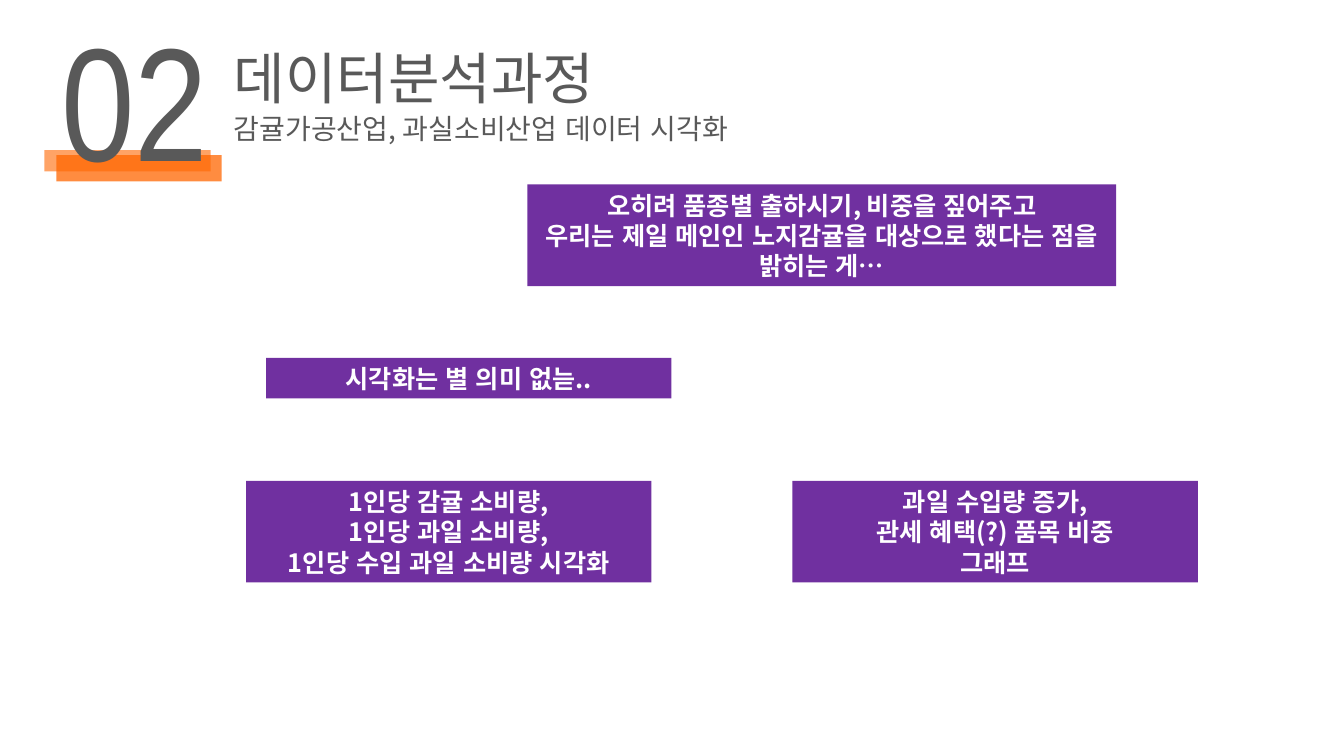
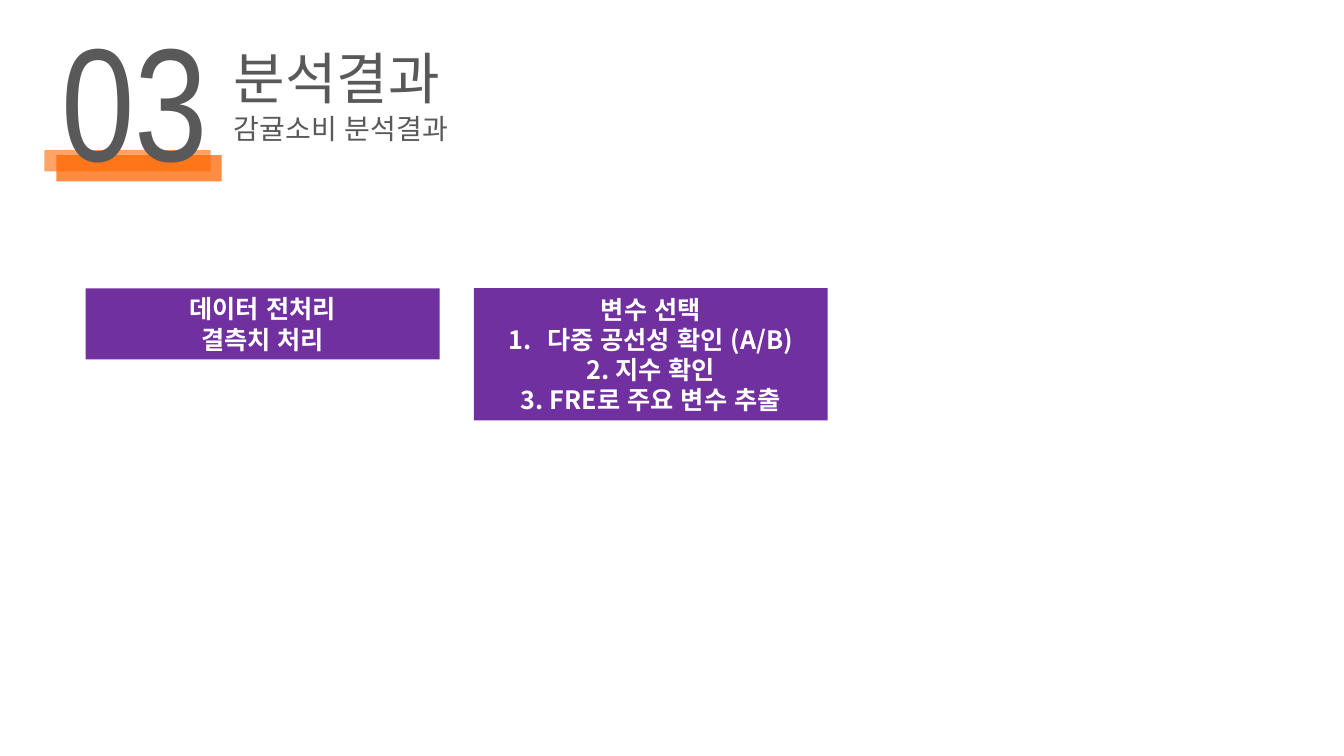
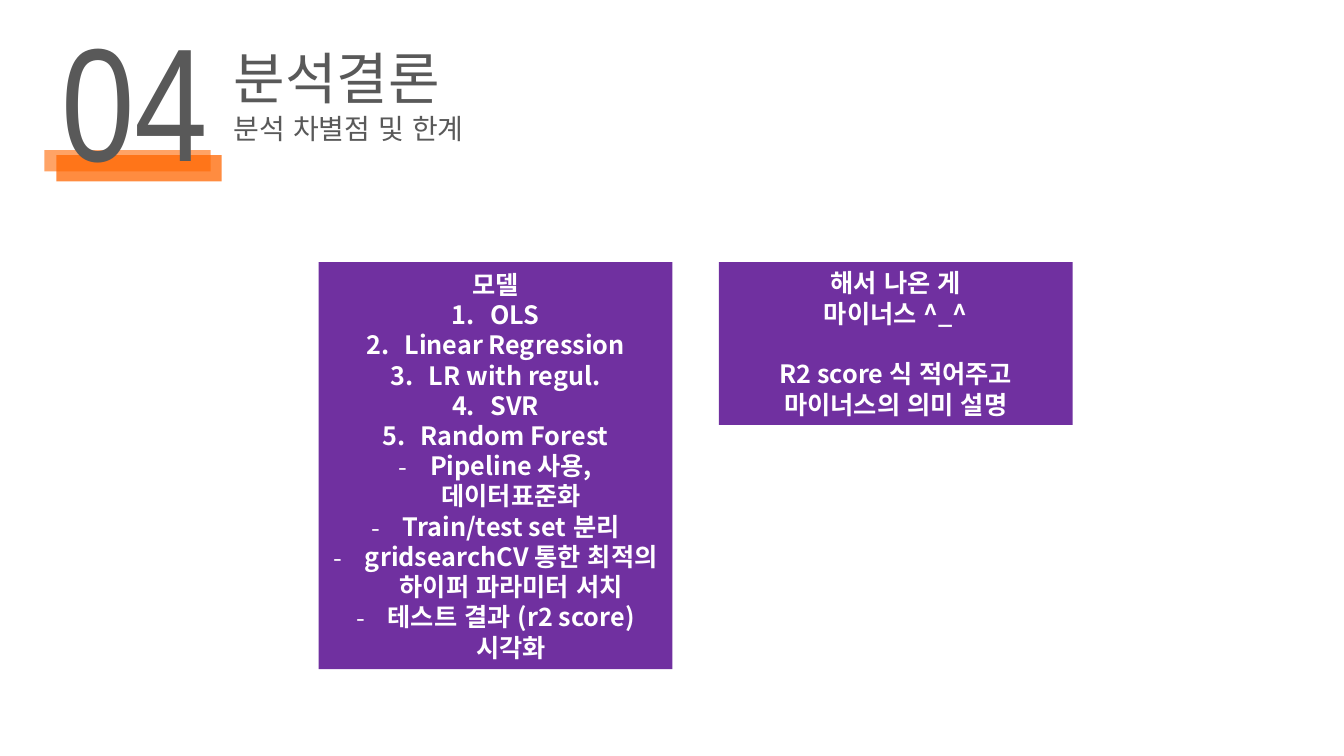
"""Build three numbered section slides with purple note boxes."""
from lxml.etree import SubElement
from pptx import Presentation
from pptx.dml.color import RGBColor
from pptx.enum.lang import MSO_LANGUAGE_ID as Language
from pptx.enum.shapes import MSO_SHAPE as Shape
from pptx.enum.text import MSO_ANCHOR as Anchor, MSO_AUTO_SIZE as AutoSize, PP_ALIGN as Align
from pptx.oxml import parse_xml
from pptx.oxml.ns import nsdecls, qn
from pptx.util import Inches, Pt

COLORS = {"accent": "FF6600", "heading": "595959", "outline": "404040",
          "note": "7030A0", "note_text": "FFFFFF"}
HEADING_FONT, BODY_FONT = "Arial Narrow", "Noto Sans CJK KR"
BANDS = [((0.56, 1.54, 1.64, 0.26), 75), ((0.44, 1.49, 1.65, 0.21), 60)]
NUMBER_BOX = (0.51, -0.04, 2.4, 2.04)
HEADING_LEFT = 2.22
WIDE, NARROW = 4.02, 3.51
LINE_PITCH, NOTE_PADDING = 0.303, 0.1
INDENTS = {"number": 0.38, "dash": 0.31}

SLIDES = [
    {"number": "02", "title": "데이터분석과정", "title_width": 4.79,
     "subtitle": "감귤가공산업, 과실소비산업 데이터 시각화",
     "notes": [
         {"at": (2.64, 3.55), "width": WIDE, "lines": 1,
          "text": [("plain", "시각화는 별 의미 없늗..")]},
         {"at": (2.44, 4.77), "width": WIDE, "lines": 3,
          "text": [("plain", "1인당 감귤 소비량,"),
                   ("plain", "1인당 과일 소비량,"),
                   ("plain", "1인당 수입 과일 소비량 시각화")]},
         {"at": (7.86, 4.77), "width": WIDE, "lines": 3,
          "text": [("plain", "과일 수입량 증가,"),
                   ("plain", "관세 혜택(?) 품목 비중"),
                   ("plain", "그래프")]},
         {"at": (5.23, 1.83), "width": 5.84, "lines": 3,
          "text": [("plain", "오히려 품종별 출하시기, 비중을 짚어주고"),
                   ("plain", "우리는 제일 메인인 노지감귤을 대상으로 했다는 점을 밝히는 게…")]},
     ]},
    {"number": "03", "title": "분석결과", "title_width": 3.33,
     "subtitle": "감귤소비 분석결과",
     "notes": [
         {"at": (0.85, 2.86), "width": NARROW, "lines": 2,
          "text": [("plain", "데이터 전처리"), ("plain", "결측치 처리")]},
         {"at": (4.7, 2.86), "width": NARROW, "lines": 4,
          "text": [("plain", "변수 선택"),
                   ("number", "다중 공선성 확인 (A/B)"),
                   ("plain", "2. 지수 확인"),
                   ("plain", "3. FRE로 주요 변수 추출")]},
     ]},
    {"number": "04", "title": "분석결론", "title_width": 3.33,
     "subtitle": "분석 차별점 및 한계",
     "notes": [
         {"at": (3.16, 2.6), "width": NARROW, "lines": 13,
          "text": [("plain", "모델"),
                   ("number", "OLS"),
                   ("number", "Linear Regression"),
                   ("number", "LR with regul."),
                   ("number", "SVR"),
                   ("number", "Random Forest"),
                   ("dash", "Pipeline 사용, 데이터표준화"),
                   ("dash", "Train/test set \t분리"),
                   ("dash", "gridsearchCV 통한 최적의 하이퍼 파라미터 서치"),
                   ("dash", "테스트 결과 (r2 score) 시각화")]},
         {"at": (7.13, 2.6), "width": NARROW, "lines": 5,
          "text": [("plain", "해서 나온 게"),
                   ("plain", "마이너스 ^_^"),
                   ("spaced", "R2 score 식 적어주고"),
                   ("plain", "마이너스의 의미 설명")]},
     ]},
]


def add_rectangle(shapes, box, color, opacity=100):
    """Add a borderless filled rectangle."""
    shape = shapes.add_shape(Shape.RECTANGLE, *map(Inches, box))
    shape.shadow.inherit = False
    shape.fill.solid()
    shape.fill.fore_color.rgb = RGBColor.from_string(COLORS[color])
    shape.line.fill.background()
    if opacity < 100:
        fill_color = shape.fill._xPr.find(qn("a:solidFill"))[0]
        SubElement(fill_color, qn("a:alpha"), val=str(opacity * 1000))
    return shape


def add_run(paragraph, text, size, color, font_name=BODY_FONT, bold=False):
    """Add one styled run and return it."""
    run = paragraph.add_run()
    run.text = text
    font = run.font
    font.size, font.bold, font.name = Pt(size), bold, font_name
    font.color.rgb = RGBColor.from_string(COLORS[color])
    font.language_id = Language.KOREAN
    SubElement(run._r.get_or_add_rPr(), qn("a:ea"), typeface=BODY_FONT)
    return run


def add_heading_text(shapes, box, text, size, font_name):
    """Add grey text with a thin translucent outline."""
    frame = shapes.add_textbox(*map(Inches, box)).text_frame
    frame.word_wrap = True
    frame.auto_size = AutoSize.SHAPE_TO_FIT_TEXT
    run = add_run(frame.paragraphs[0], text, size, "heading", font_name)
    outline = parse_xml(
        f'<a:ln {nsdecls("a")} w="{Pt(0.75)}"><a:solidFill>'
        f'<a:srgbClr val="{COLORS["outline"]}"><a:alpha val="70000"/></a:srgbClr>'
        '</a:solidFill></a:ln>')
    run._r.get_or_add_rPr().insert(0, outline)


def add_header(slide, content):
    """Add the section number, accent bands, title and subtitle."""
    group = slide.shapes.add_group_shape().shapes
    for box, opacity in BANDS:
        add_rectangle(group, box, "accent", opacity)
    title_box = (HEADING_LEFT, 0.38, content["title_width"], 0.77)
    add_heading_text(group, NUMBER_BOX, content["number"], 115, HEADING_FONT)
    add_heading_text(group, title_box, content["title"], 40, HEADING_FONT)
    add_heading_text(slide.shapes, (HEADING_LEFT, 1.06, 5.83, 0.44),
                     content["subtitle"], 20, BODY_FONT)


def add_bullet(paragraph, kind):
    """Give a paragraph a hanging number or dash."""
    properties = paragraph._p.get_or_add_pPr()
    indent = Inches(INDENTS[kind])
    properties.set("marL", str(indent))
    properties.set("indent", str(-indent))
    SubElement(properties, qn("a:buFont"), typeface=BODY_FONT)
    if kind == "number":
        SubElement(properties, qn("a:buAutoNum"), type="arabicPeriod")
    else:
        SubElement(properties, qn("a:buChar"), char="-")


def add_note(slide, note):
    """Add a purple box as tall as its lines of text."""
    height = NOTE_PADDING + LINE_PITCH * note["lines"]
    shape = add_rectangle(slide.shapes, (*note["at"], note["width"], height), "note")
    frame = shape.text_frame
    frame.word_wrap = True
    frame.auto_size = AutoSize.SHAPE_TO_FIT_TEXT
    frame.vertical_anchor = Anchor.MIDDLE
    for index, (kind, text) in enumerate(note["text"]):
        paragraph = frame.add_paragraph() if index else frame.paragraphs[0]
        paragraph.alignment = Align.CENTER
        if kind in INDENTS:
            add_bullet(paragraph, kind)
        elif kind == "spaced":
            paragraph.space_before = Pt(LINE_PITCH * 72)
        add_run(paragraph, text, 18, "note_text", bold=True)


def main():
    """Create and save the presentation."""
    presentation = Presentation()
    presentation.slide_width, presentation.slide_height = Inches(13.33), Inches(7.5)
    for content in SLIDES:
        slide = presentation.slides.add_slide(presentation.slide_layouts[6])
        add_header(slide, content)
        for note in content["notes"]:
            add_note(slide, note)
    presentation.save("out.pptx")


if __name__ == "__main__":
    main()
